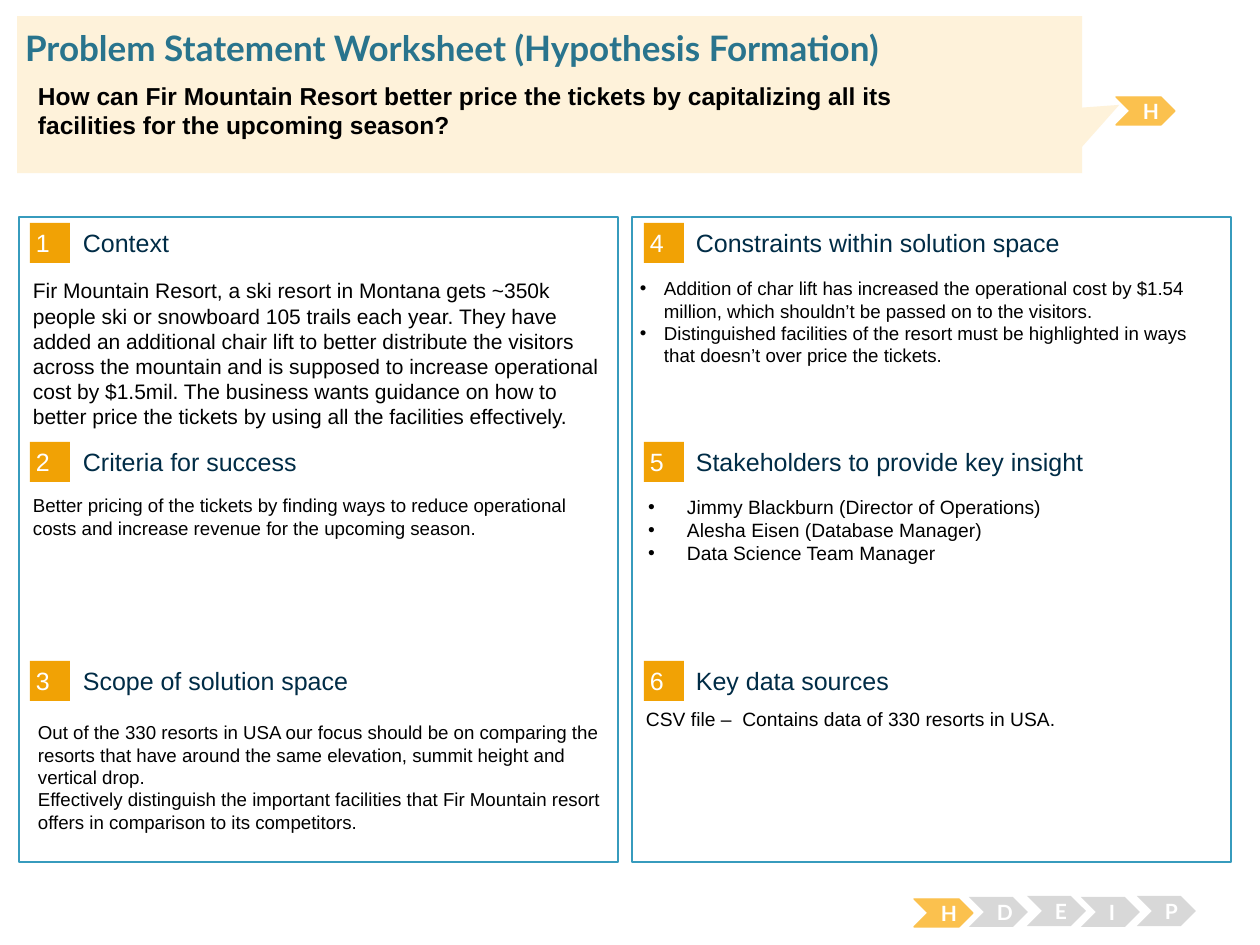
from pptx import Presentation
from pptx.util import Pt
from pptx.dml.color import RGBColor
from pptx.enum.shapes import MSO_SHAPE as Kind
from pptx.enum.text import MSO_ANCHOR as Anchor, MSO_AUTO_SIZE as Auto, PP_ALIGN as Align
from pptx.oxml.ns import qn
from lxml.etree import SubElement as Sub

PX = 914400 // 126
ORANGE, TEAL, GOLD, GREY = "F1A205", "379BBD", "FBC14E", "D8D8D8"
WHITE, BLACK, NAVY = "FFFFFF", "000000", "002C46"

deck = Presentation()
deck.slide_width, deck.slide_height = 1260 * PX, 945 * PX
slide = deck.slides.add_slide(deck.slide_layouts[3])
shapes = slide.shapes
title, *lists = slide.placeholders


def draw(kind, box, fill, line=None, width=0.75):
    shape = shapes.add_shape(kind, *[n * PX for n in box])
    shape.shadow.inherit = False
    shape.fill.solid()
    shape.fill.fore_color.rgb = RGBColor.from_string(fill)
    if line:
        shape.line.color.rgb = RGBColor.from_string(line)
        shape.line.width = Pt(width)
    else:
        shape.line.fill.background()
    return shape


def write(shape, lines, size, color=BLACK, font="Arial", bold=False,
          pad=(13, 6), anchor=Anchor.TOP, align=Align.LEFT):
    frame = shape.text_frame
    frame.word_wrap = True
    frame.auto_size = Auto.NONE
    frame.vertical_anchor = anchor
    frame.margin_left = frame.margin_right = pad[0] * PX
    frame.margin_top = frame.margin_bottom = pad[1] * PX
    for i, line in enumerate(lines):
        para = frame.add_paragraph() if i else frame.paragraphs[0]
        para.alignment = align
        para.space_before = Pt(0)
        run = para.add_run()
        run.text = line
        run.font.size = Pt(size)
        run.font.name = font
        run.font.bold = bold
        run.font.color.rgb = RGBColor.from_string(color)


heads = [
    ["Context", "Criteria for success", "Scope of solution space"],
    ["Constraints within solution space", "Stakeholders to provide key insight",
     "Key data sources"],
]
for col, names in enumerate(heads):
    left = 613 * col
    draw(Kind.RECTANGLE, (19 + left, 217, 599, 645), WHITE, TEAL, 1.5)
    for row, name in enumerate(names):
        top = 223 + 219 * row
        badge = draw(Kind.RECTANGLE, (30 + 614 * col, top, 40, 40), ORANGE)
        write(badge, [str(3 * col + row + 1)], 14.3, WHITE, pad=(6, 6), anchor=Anchor.MIDDLE)
        head = shapes.add_textbox((83 + left) * PX, (top + 4) * PX, 495 * PX, 31 * PX)
        write(head, [name], 14.3, NAVY, pad=(0, 0), anchor=Anchor.MIDDLE)

texts = [
    ((20, 272, 596, 171), 12, [
        "Fir Mountain Resort, a ski resort in Montana gets ~350k people ski or snowboard "
        "105 trails each year. They have added an additional chair lift to better distribute "
        "the visitors across the mountain and is supposed to increase operational cost by "
        "$1.5mil. The business wants guidance on how to better price the tickets by using "
        "all the facilities effectively."]),
    ((20, 488, 596, 194), 10.7, [
        "Better pricing of the tickets by finding ways to reduce operational costs and "
        "increase revenue for the upcoming season."]),
    ((25, 715, 596, 121), 10.7, [
        "Out of the 330 resorts in USA our focus should be on comparing the resorts that "
        "have around the same elevation, summit height and vertical drop.",
        "Effectively distinguish the important facilities that Fir Mountain resort offers "
        "in comparison to its competitors."]),
    ((633, 701, 596, 149), 11, ["CSV file –  Contains data of 330 resorts in USA."]),
]
for box, size, lines in texts:
    write(shapes.add_textbox(*[n * PX for n in box]), lines, size)

points = [
    ((627, 271, 596, 149), 10.7, 24, [
        "Addition of char lift has increased the operational cost by $1.54 million, which "
        "shouldn’t be passed on to the visitors.",
        "Distinguished facilities of the resort must be highlighted in ways that doesn’t "
        "over price the tickets."]),
    ((635, 489, 596, 149), 11, 39, [
        "Jimmy Blackburn (Director of Operations)",
        "Alesha Eisen (Database Manager)",
        "Data Science Team Manager"]),
]
for body, (box, size, dent, lines) in zip(lists, points):
    body.left, body.top, body.width, body.height = [n * PX for n in box]
    write(body, lines, size)
    for para in body.text_frame.paragraphs:
        props = para._p.get_or_add_pPr()
        props.set("marL", str(dent * PX))
        props.set("indent", str(-dent * PX))
        Sub(props, qn("a:buFont"), typeface="Arial")
        Sub(props, qn("a:buChar"), char="•")

call = draw(Kind.RECTANGULAR_CALLOUT, (17, 16, 1065, 157), "FEF2DA")
call.adjustments[0], call.adjustments[1] = 0.535, 0.066

steps = [("H", 914, 899, 28), ("D", 969, 897, 30), ("E", 1027, 896, 30),
         ("I", 1081, 897, 30), ("P", 1137, 896, 30), ("H", 1116, 97, 28)]
for mark, left, top, high in steps:
    live = mark == "H"
    step = draw(Kind.CHEVRON, (left, top, 59, high),
                GOLD if live else GREY, GOLD if live else None)
    write(step, [mark], 12, WHITE, "Lato", True, anchor=Anchor.MIDDLE, align=Align.CENTER)

title.left, title.top, title.width, title.height = [n * PX for n in (25, 26, 1212, 43)]
write(title, ["Problem Statement Worksheet (Hypothesis Formation)"], 20, "29748D",
      "Lato", True, pad=(0, 0))
for item in (title, *lists):
    item.element.getparent().append(item.element)

ask = shapes.add_textbox(25 * PX, 75 * PX, 1183 * PX, 68 * PX)
write(ask, ["How can Fir Mountain Resort better price the tickets by capitalizing all its",
            "facilities for the upcoming season?"], 14, bold=True)

deck.save("out.pptx")
